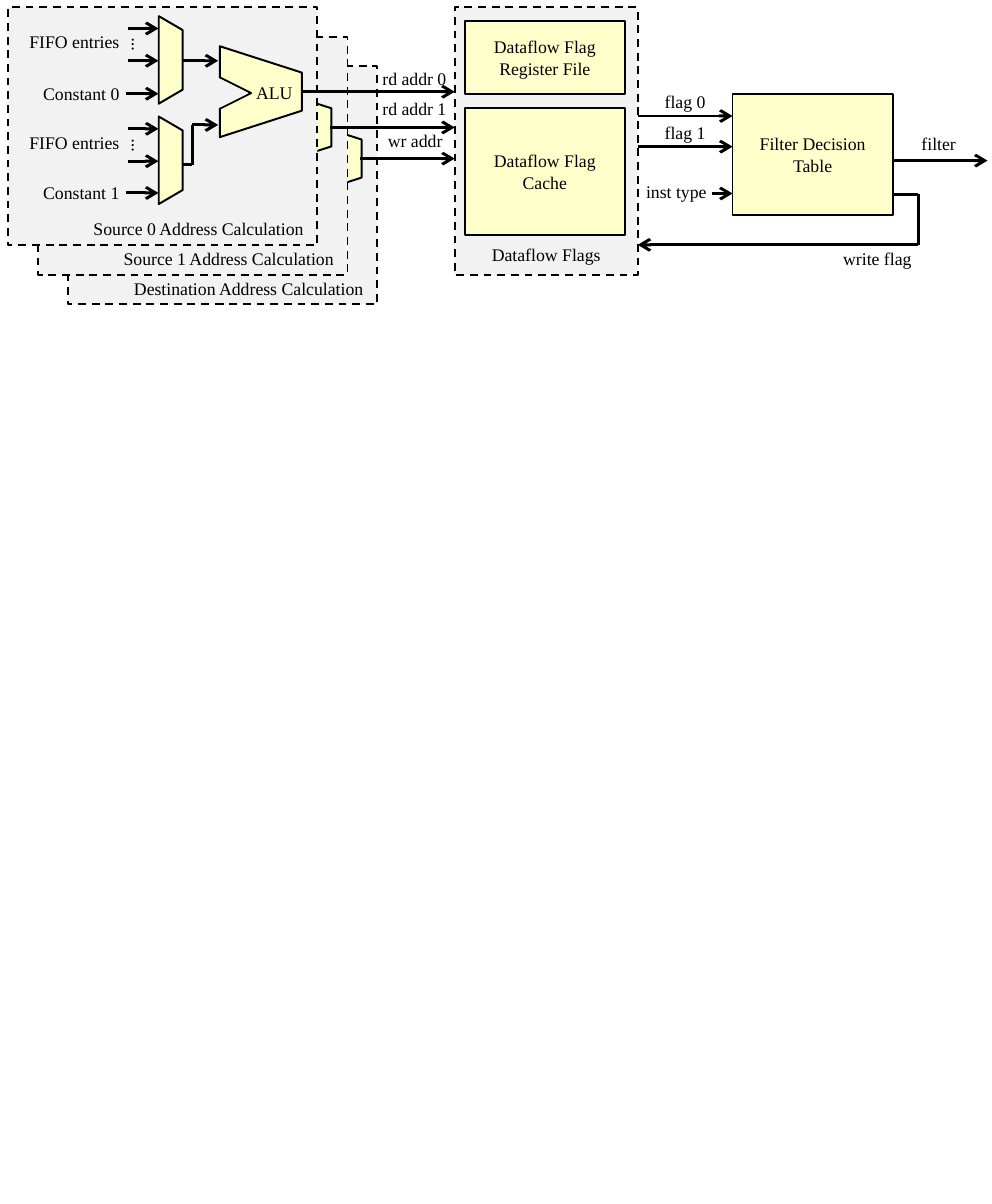
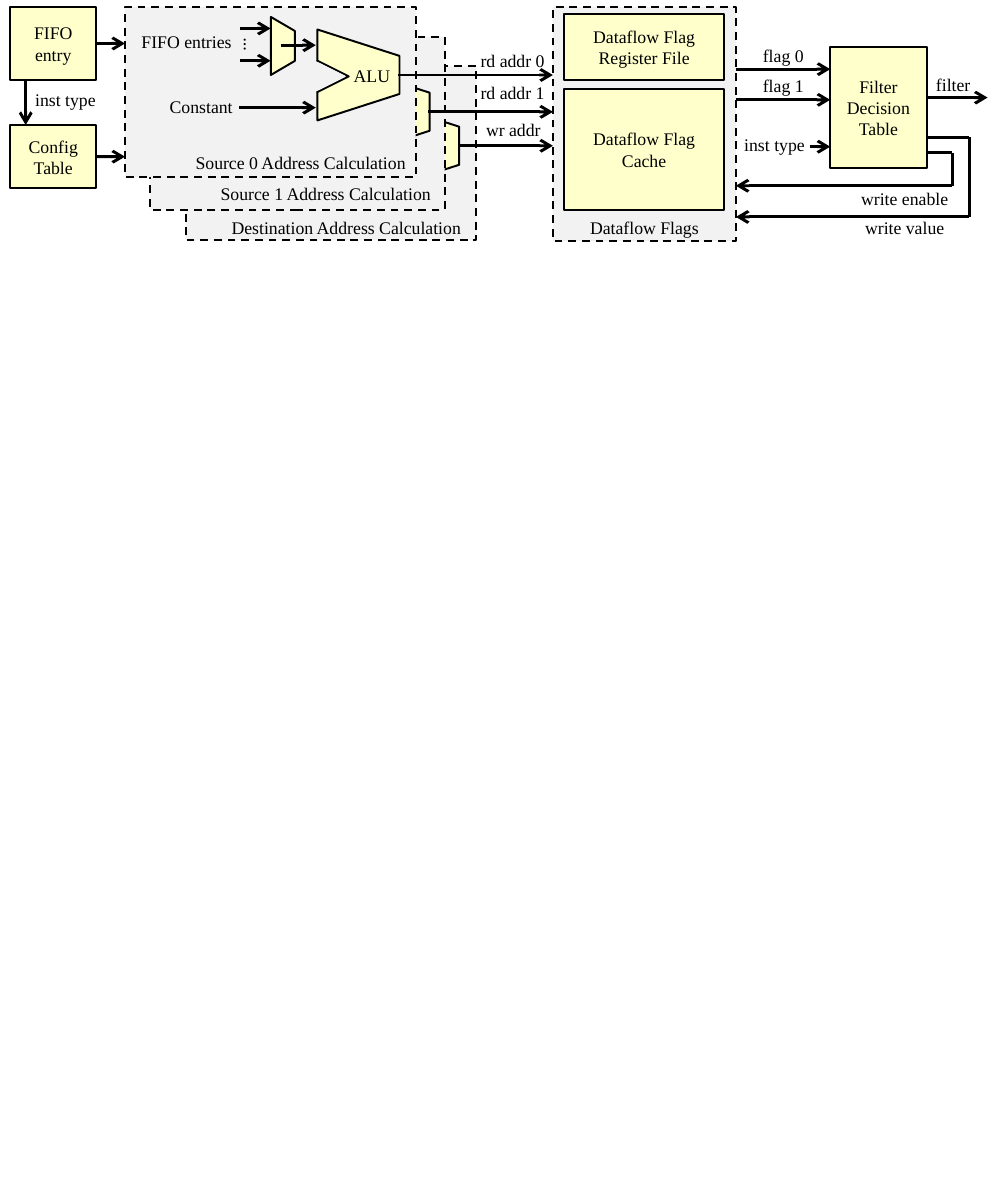
from pptx import Presentation
from pptx.dml.color import RGBColor
from pptx.enum.dml import MSO_LINE
from pptx.enum.shapes import MSO_CONNECTOR, MSO_SHAPE
from pptx.enum.text import MSO_ANCHOR, PP_ALIGN
from pptx.oxml.ns import qn
from pptx.util import Cm, Pt
from lxml.etree import SubElement

COLORS = {"black": "000000", "panel": "F2F2F2", "block": "FFFFCC", "white": "FFFFFF"}
FONT = "Times New Roman"
LEFT, CENTER, RIGHT = PP_ALIGN.LEFT, PP_ALIGN.CENTER, PP_ALIGN.RIGHT
LABEL_H = 0.64
ALU_W, ALU_H = 1.63, 1.47


def add_box(s, geometry, text="", kind=None, fill="block", line="black", dash=False,
            adj=None, rotation=0, align=CENTER, font=FONT):
    left, top, width, height = [Cm(v) for v in geometry]
    if kind is None:
        sp = s.shapes.add_textbox(left, top, width, height)
    else:
        sp = s.shapes.add_shape(kind, left, top, width, height)
        sp.shadow.inherit = False
        sp.fill.solid()
        sp.fill.fore_color.rgb = RGBColor.from_string(COLORS[fill])
        sp.line.color.rgb = RGBColor.from_string(COLORS[line])
        sp.line.width = Pt(1)
        if dash:
            sp.line.dash_style = MSO_LINE.DASH
        if adj:
            sp.adjustments[0] = adj
    sp.rotation = rotation
    if text:
        tf = sp.text_frame
        tf.word_wrap = True
        tf.vertical_anchor = MSO_ANCHOR.MIDDLE if kind else MSO_ANCHOR.TOP
        tf.text = text
        for p in tf.paragraphs:
            p.alignment = align
            for r in p.runs:
                r.font.size = Pt(9)
                r.font.name = font
                r.font.color.rgb = RGBColor.from_string(COLORS["black"])
    return sp


def add_path(s, *points, source=None):
    for (x1, y1), (x2, y2) in zip(points, points[1:]):
        c = s.shapes.add_connector(MSO_CONNECTOR.STRAIGHT, Cm(x1), Cm(y1), Cm(x2), Cm(y2))
        c.line.color.rgb = RGBColor.from_string(COLORS["black"])
        c.line.width = Pt(1.5)
        if source is not None:
            c.begin_connect(source, 3)
        if (x2, y2) == points[-1]:
            SubElement(c.line._get_or_add_ln(), qn("a:tailEnd"), type="arrow")
        SubElement(c._element.spPr, qn("a:effectLst"))


RECT, TRAPEZOID = MSO_SHAPE.RECTANGLE, MSO_SHAPE.TRAPEZOID
TRIANGLE = MSO_SHAPE.ISOSCELES_TRIANGLE
UNITS = ["Destination Address Calculation", "Source 1 Address Calculation",
         "Source 0 Address Calculation"]
ADDRESSES = ["wr addr", "rd addr 1", "rd addr 0"]

designs = [
    {
        "panels": [(1.22, 1.19, 5.54, 4.27), (0.69, 0.66, 5.54, 4.27), (0.15, 0.13, 5.54, 4.27)],
        "captions": [(6.76, 4.85), (6.23, 4.32), (5.69, 3.78)],
        "alus": [(4.93, 2.11), (4.39, 1.55), (3.86, 0.91)],
        "address_tops": [2.21, 1.63, 1.09],
        "mux_x": 2.29, "mux_tops": [0.86, 2.66], "mux_length": 1.57,
        "constants": [("Constant 0", 2.39, 1.36), ("Constant 1", 2.39, 3.13)],
        "alu_inputs": [
            [(2.26, 1.68), (2.84, 1.68)],
            [(2.26, 3.46), (2.84, 3.46)],
            [(3.28, 1.09), (3.91, 1.09)],
            [(3.28, 2.95), (3.45, 2.95), (3.45, 2.24), (3.91, 2.24)],
        ],
        "flags": (8.15, 0.13, 3.28, 4.8), "flags_caption": 4.24,
        "registers": (8.33, 0.38, 2.87, 1.3), "cache": (8.33, 1.93, 2.87, 2.29),
        "table": (13.13, 1.68, 2.87, 2.18),
        "filter_y": 2.88, "filter_label": (16.05, 2.26),
        "writes": [("write flag", 14.67, 4.32, 3.48, 16.46, 4.39)],
    },
    {
        "panels": [(3.33, 1.19, 5.21, 3.12), (2.69, 0.66, 5.28, 3.1), (2.24, 0.13, 5.21, 3.05)],
        "captions": [(8.51, 3.76), (7.97, 3.15), (7.52, 2.59)],
        "alus": [(6.68, 1.88), (6.15, 1.27), (5.61, 0.61)],
        "address_tops": [2.01, 1.35, 0.76],
        "mux_x": 4.3, "mux_tops": [0.61], "mux_length": 1.04,
        "constants": [("Constant", 4.42, 1.6)],
        "alu_inputs": [[(4.29, 1.93), (5.66, 1.93)], [(5.03, 0.81), (5.66, 0.81)]],
        "flags": (9.91, 0.13, 3.28, 4.19), "flags_caption": 3.76,
        "registers": (10.11, 0.25, 2.87, 1.19), "cache": (10.11, 1.6, 2.87, 2.16),
        "table": (14.88, 0.84, 1.73, 2.18),
        "filter_y": 1.75, "filter_label": (16.31, 1.19),
        "writes": [("write enable", 15.16, 3.25, 2.74, 17.07, 3.33),
                   ("write value", 15.16, 3.76, 2.46, 17.37, 3.89)],
    },
]

prs = Presentation()
prs.slide_width, prs.slide_height = Cm(17.78), Cm(21.59)

for d in designs:
    s = prs.slides.add_slide(prs.slide_layouts[6])
    flags_x, flags_right = d["flags"][0], d["flags"][0] + d["flags"][2]

    for panel, (x, y) in zip(d["panels"], d["alus"]):
        add_box(s, panel, kind=RECT, fill="panel", dash=True)
        add_box(s, (x, y, ALU_W, ALU_H), kind=TRAPEZOID, adj=0.322, rotation=90)
    for shift, fill, line in [(0.08, "white", "black"), (0, "panel", "panel")]:
        add_box(s, (x + shift, y + 0.48, 0.56, 0.56), kind=TRIANGLE, fill=fill, line=line, rotation=90)
    add_box(s, (x + 0.48, y + 0.43, 1.24, 1.02), "ALU", align=LEFT)

    for unit, (right, top) in zip(UNITS, d["captions"]):
        add_box(s, (right - 4.7, top, 4.7, LABEL_H), unit, align=RIGHT)
    for address, (x, y), top in zip(ADDRESSES, d["alus"], d["address_tops"]):
        mid = y + ALU_H / 2
        add_path(s, (x + 1.53, mid), (flags_x, mid))
        right = flags_x + (0.03 if address == "wr addr" else 0.1)
        add_box(s, (right - 1.9, top, 1.9, LABEL_H), address, align=RIGHT)

    mux_x, length = d["mux_x"], d["mux_length"]
    for i, top in enumerate(d["mux_tops"]):
        row = 0.51 + 1.8 * i
        add_box(s, (mux_x + 0.77 - length / 2, top + (length - 1.57) / 2 * 0, length, 0.43),
                kind=TRAPEZOID, adj=0.586, rotation=90)
        for y in (row, row + 0.58):
            add_path(s, (mux_x, y), (mux_x + 0.55, y))
        add_box(s, (mux_x - 2.06, row - 0.08, 2.16, LABEL_H), "FIFO entries", align=RIGHT)
        add_box(s, (mux_x - 0.16, row - 0.03, 0.71, LABEL_H), "…", rotation=90,
                align=LEFT, font="Calibri")
    for constant, right, top in d["constants"]:
        add_box(s, (right - 2.16, top, 2.16, LABEL_H), constant, align=RIGHT)
    for points in d["alu_inputs"]:
        add_path(s, *points)

    add_box(s, d["flags"], kind=RECT, fill="panel", dash=True)
    add_box(s, (flags_x, d["flags_caption"], 3.28, LABEL_H), "Dataflow Flags")
    add_box(s, d["registers"], "Dataflow Flag Register File", RECT)
    add_box(s, d["cache"], "Dataflow Flag\nCache", RECT)

    add_box(s, d["table"], "Filter Decision Table", RECT)
    table_x, table_y, table_w, _ = d["table"]
    table_right = table_x + table_w
    for i, flag in enumerate(["flag 0", "flag 1"]):
        y = table_y + 0.4 + 0.55 * i
        add_path(s, (flags_right, y), (table_x, y))
        add_box(s, (flags_right, y - 0.57, 1.7, LABEL_H), flag)
    add_path(s, (table_x - 0.37, table_y + 1.79), (table_x, table_y + 1.79))
    add_box(s, (flags_right - 0.1, table_y + 1.43, 1.7, LABEL_H), "inst type", align=LEFT)

    add_path(s, (table_right, d["filter_y"]), (17.7, d["filter_y"]))
    add_box(s, (*d["filter_label"], 1.55, LABEL_H), "filter")
    for write, x, top, start_y, turn_x, end_y in d["writes"]:
        add_path(s, (table_right, start_y), (turn_x, start_y), (turn_x, end_y), (flags_right, end_y))
        add_box(s, (x, top, 2.11, LABEL_H), write)

for text, top, height in [("FIFO entry", 0.13, 1.3), ("Config Table", 2.24, 1.14)]:
    sp = add_box(s, (0.18, top, 1.55, height), text, RECT)
    mid = top + height / 2
    add_path(s, (1.73, mid), (2.24, mid), source=sp)
add_path(s, (0.46, 1.43), (0.46, 2.24))
add_box(s, (0.38, 1.47, 1.8, LABEL_H), "inst type", align=LEFT)

prs.save("out.pptx")
